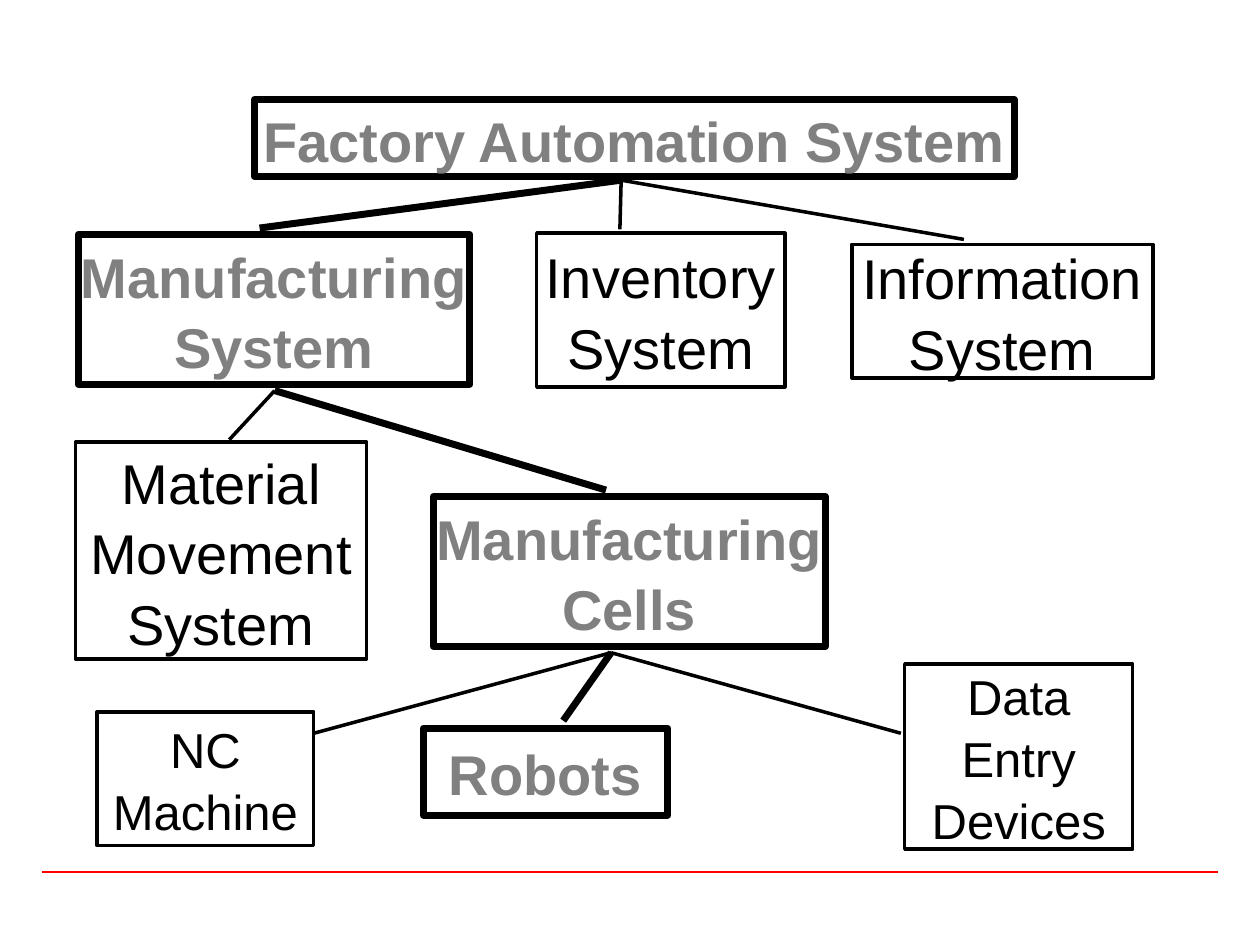
from dataclasses import dataclass

from lxml import etree
from pptx import Presentation, util as u
from pptx.dml import color
from pptx.enum import shapes, text
from pptx.oxml import ns

COLORS = {"ink": "000000", "highlight": "808080", "rule": "FF0000"}
COLUMNS, ROWS = 100, 75
FONT = "Arial"
THIN, THICK, HAIRLINE = 2, 4, 0.75


@dataclass(frozen=True)
class Node:
    label: str
    column: float
    row: float
    columns: float
    rows: float
    size: int = 32
    highlighted: bool = False


@dataclass(frozen=True)
class Branch:
    column: float
    row: float
    weight: float = THIN


@dataclass(frozen=True)
class Fork:
    column: float
    row: float
    branches: tuple[Branch, ...]


NODES = (
    Node("Data\vEntry\vDevices", 71.8, 52.7, 18.1, 14.7, size=28),
    Node("Robots", 33.6, 57.8, 19.4, 6.9, highlighted=True),
    Node("NC\vMachine", 7.7, 56.5, 17.2, 10.6, size=28),
    Node("Factory Automation System", 20.2, 7.9, 60.3, 6.1, highlighted=True),
    Node("Manufacturing\vCells", 34.4, 39.4, 31.1, 11.9, highlighted=True),
    Node("Material\vMovement\vSystem", 6, 35.1, 23.1, 17.2),
    Node("Manufacturing\vSystem", 6.2, 18.6, 31.1, 11.9, highlighted=True),
    Node("Information\vSystem", 67.6, 19.4, 23.9, 10.6),
    Node("Inventory\vSystem", 42.6, 18.5, 19.7, 12.2),
)

FORKS = (
    Fork(49.3, 14.3, (Branch(20.6, 18.1, THICK), Branch(49.2, 18.2), Branch(76.5, 19))),
    Fork(21.8, 31, (Branch(18.2, 34.9), Branch(48.1, 38.9, THICK))),
    Fork(48.5, 51.8, (Branch(24.9, 58.2), Branch(44.7, 57.2, THICK), Branch(71.5, 58.2))),
)

presentation = Presentation()
presentation.slide_width = u.Inches(10)
presentation.slide_height = u.Inches(7.5)
slide = presentation.slides.add_slide(presentation.slide_layouts[6])


def across(columns: float) -> int:
    return round(presentation.slide_width * columns / COLUMNS)


def down(rows: float) -> int:
    return round(presentation.slide_height * rows / ROWS)


def rgb(name: str) -> color.RGBColor:
    return color.RGBColor.from_string(COLORS[name])


def draw_line(start: tuple[float, float], end: tuple[float, float],
              weight: float, color_name: str = "ink") -> None:
    connector = slide.shapes.add_connector(
        shapes.MSO_CONNECTOR.STRAIGHT,
        across(start[0]), down(start[1]), across(end[0]), down(end[1]))
    connector.line.color.rgb = rgb(color_name)
    connector.line.width = u.Pt(weight)
    etree.SubElement(connector._element.spPr, ns.qn("a:effectLst"))


def draw_node(node: Node) -> None:
    shape = slide.shapes.add_shape(
        shapes.MSO_SHAPE.RECTANGLE, across(node.column), down(node.row),
        across(node.columns), down(node.rows))
    shape.shadow.inherit = False
    shape.fill.background()
    shape.line.color.rgb = rgb("ink")
    shape.line.width = u.Pt(THICK if node.highlighted else THIN)
    frame = shape.text_frame
    frame.text = node.label
    frame.word_wrap = False
    frame.vertical_anchor = text.MSO_ANCHOR.MIDDLE
    frame.margin_left = frame.margin_right = u.Inches(0.1)
    frame.margin_top = frame.margin_bottom = 0
    paragraph = frame.paragraphs[0]
    paragraph.alignment = text.PP_ALIGN.CENTER
    paragraph.line_spacing = 1.05
    paragraph.font.size = u.Pt(node.size)
    for run in paragraph.runs:
        run.font.name = FONT
        run.font.size = u.Pt(node.size)
        run.font.bold = node.highlighted
        run.font.color.rgb = rgb("highlight" if node.highlighted else "ink")


def main() -> None:
    draw_line((3.3, 69.2), (96.7, 69.2), HAIRLINE, "rule")
    for node in NODES:
        draw_node(node)
    for fork in FORKS:
        for branch in fork.branches:
            draw_line((fork.column, fork.row), (branch.column, branch.row), branch.weight)
    presentation.save("out.pptx")


if __name__ == "__main__":
    main()
